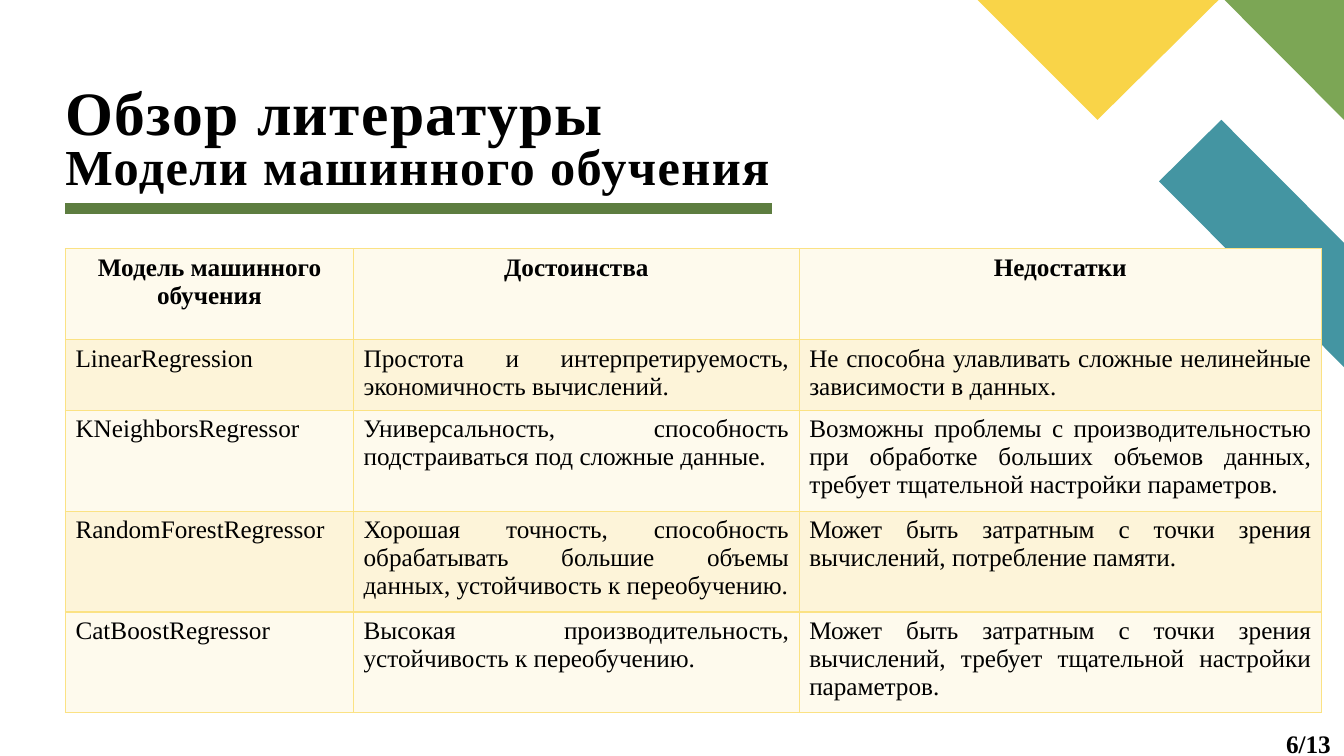
from lxml.etree import SubElement
from pptx import Presentation
from pptx.dml.color import RGBColor
from pptx.enum.shapes import MSO_CONNECTOR
from pptx.enum.text import MSO_ANCHOR, PP_ALIGN
from pptx.oxml.ns import qn
from pptx.util import Cm, Pt

# Content
TITLE = ["Обзор литературы", "Модели машинного обучения"]
PAGE = "6/13"
ROWS = [
    ("Модель машинного обучения", "Достоинства", "Недостатки"),
    ("LinearRegression",
     "Простота и интерпретируемость, экономичность вычислений.",
     "Не способна улавливать сложные нелинейные зависимости в данных."),
    ("KNeighborsRegressor",
     "Универсальность, способность подстраиваться под сложные данные.",
     "Возможны проблемы с производительностью при обработке больших объемов "
     "данных, требует тщательной настройки параметров."),
    ("RandomForestRegressor",
     "Хорошая точность, способность обрабатывать большие объемы данных, "
     "устойчивость к переобучению.",
     "Может быть затратным с точки зрения вычислений, потребление памяти."),
    ("CatBoostRegressor",
     "Высокая производительность, устойчивость к переобучению.",
     "Может быть затратным с точки зрения вычислений, требует тщательной "
     "настройки параметров."),
]


class Theme:
    font = "Times New Roman"
    ink = "000000"
    teal, green, yellow = "4495A2", "7CA655", "F9D448"
    rule, border = "5D7D40", "FBE284"
    bands = ("FEFAED", "FDF4D9")
    head, sub, body = 44, 36, 18


# Layout in centimetres
WIDE, HIGH = 33.87, 19.05
LEFT = 1.65
COLS = (7.26, 11.23, 13.16)
TALLS = (2.29, 1.73, 2.29, 2.29, 2.29)
DECOR = [
    (Theme.teal, [(WIDE, 9.25), (WIDE, 6.12), (30.78, 3.02), (29.21, 4.57)]),
    (Theme.green, [(WIDE, 3.02), (WIDE, 0), (30.86, 0)]),
    (Theme.yellow, [(24.64, 0), (27.66, 3.02), (30.71, 0)]),
]


def color(code):
    return RGBColor.from_string(code)


def style(run, size, bold=True):
    font = run.font
    font.name, font.size, font.bold = Theme.font, Pt(size), bold
    font.color.rgb = color(Theme.ink)


def add_text(slide, box, text):
    frame = slide.shapes.add_textbox(*map(Cm, box)).text_frame
    frame.margin_left = frame.margin_right = 0
    frame.margin_top = frame.margin_bottom = 0
    frame.word_wrap = True
    frame.text = text
    return frame


def add_decor(slide):
    for fill, points in DECOR:
        start, *rest = [(Cm(x), Cm(y)) for x, y in points]
        pen = slide.shapes.build_freeform(*start)
        pen.add_line_segments(rest)
        shape = pen.convert_to_shape()
        shape.shadow.inherit = False
        shape.fill.solid()
        shape.fill.fore_color.rgb = color(fill)
        shape.line.fill.background()


def add_title(slide):
    frame = add_text(slide, (LEFT, 0.56, 30.2, 4.37), "")
    frame.vertical_anchor = MSO_ANCHOR.BOTTOM
    para = frame.paragraphs[0]
    para.text = "\v".join(TITLE)
    para.line_spacing = 0.8
    for run, size in zip(para.runs, (Theme.head, Theme.sub)):
        style(run, size)
        run.font._element.set("spc", "100")


def add_rule(slide):
    line = slide.shapes.add_connector(
        MSO_CONNECTOR.STRAIGHT, Cm(LEFT), Cm(5.26), Cm(19.46), Cm(5.26))
    line.line.color.rgb = color(Theme.rule)
    line.line.width = Pt(8)
    SubElement(line._element.spPr, qn("a:effectLst"))


def add_border(cell):
    props = cell._tc.get_or_add_tcPr()
    for side in ("lnL", "lnR", "lnT", "lnB"):
        edge = SubElement(props, qn("a:" + side), w=str(Pt(1)))
        fill = SubElement(edge, qn("a:solidFill"))
        SubElement(fill, qn("a:srgbClr"), val=Theme.border)


def add_models(slide):
    table = slide.shapes.add_table(
        len(ROWS), len(COLS), Cm(LEFT), Cm(6.27),
        Cm(sum(COLS)), Cm(sum(TALLS))).table
    for col, width in zip(table.columns, COLS):
        col.width = Cm(width)
    for r, texts in enumerate(ROWS):
        table.rows[r].height = Cm(TALLS[r])
        for c, text in enumerate(texts):
            cell = table.cell(r, c)
            add_border(cell)
            cell.fill.solid()
            cell.fill.fore_color.rgb = color(Theme.bands[r % 2])
            para = cell.text_frame.paragraphs[0]
            para.text = text
            para.alignment = PP_ALIGN.JUSTIFY if r else PP_ALIGN.CENTER
            style(para.runs[0], Theme.body, bold=r == 0)


def main():
    deck = Presentation()
    deck.slide_width, deck.slide_height = Cm(WIDE), Cm(HIGH)
    slide = deck.slides.add_slide(deck.slide_layouts[6])
    add_decor(slide)
    add_title(slide)
    add_models(slide)
    add_rule(slide)
    # Page number
    frame = add_text(slide, (32.41, 18.36, 1.45, 0.69), PAGE)
    style(frame.paragraphs[0].runs[0], Theme.body)
    deck.save("out.pptx")


if __name__ == "__main__":
    main()
